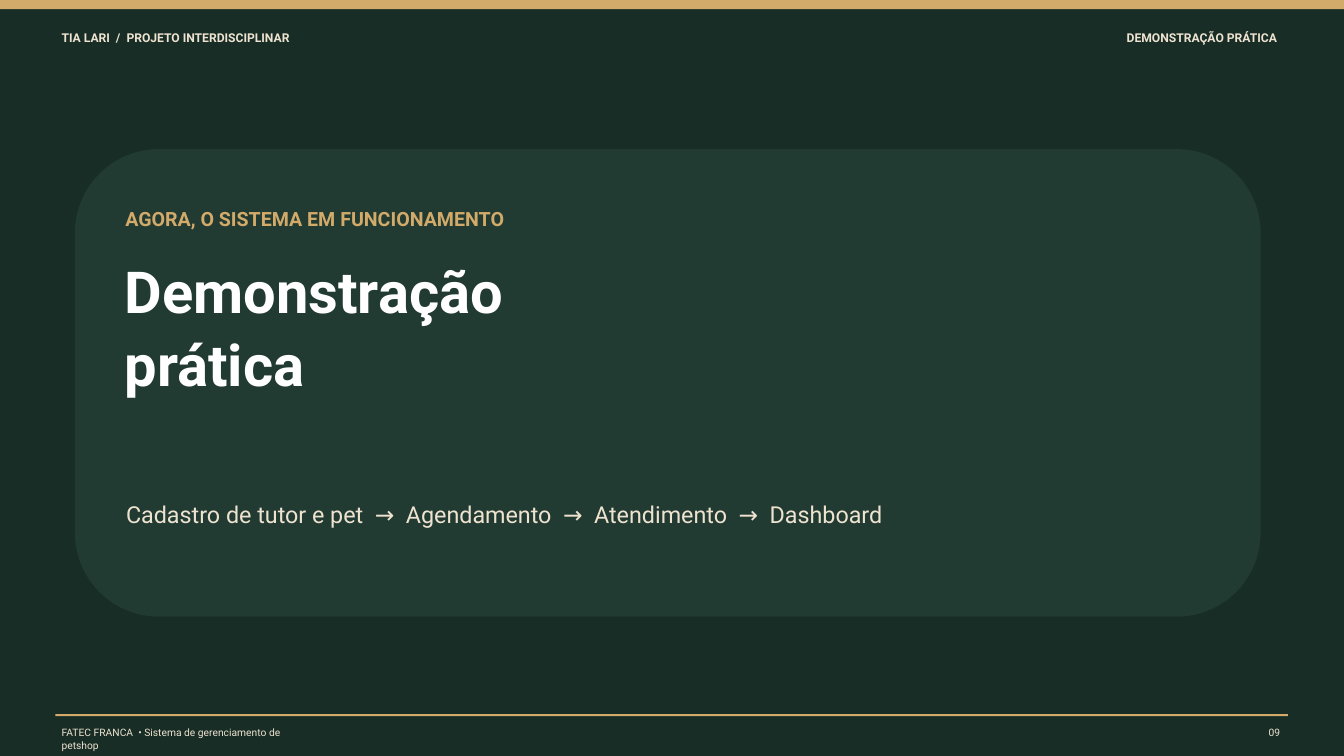
from dataclasses import dataclass

from pptx import Presentation
from pptx.dml.color import RGBColor
from pptx.enum.shapes import MSO_SHAPE
from pptx.enum.text import PP_ALIGN
from pptx.util import Pt

EMU_PER_PX = 9525
WIDTH, HEIGHT = 1920, 1080


@dataclass(frozen=True)
class Theme:
    font: str = "Roboto"
    night: str = "182D26"
    card: str = "213A32"
    gold: str = "D2AA69"
    cream: str = "EEE3D0"
    white: str = "FFFFFF"
    small: int = 11
    header: int = 13
    kicker: int = 21
    flow: int = 25
    title: int = 62
    leading: float = 1.26


THEME = Theme()
LEFT, RIGHT = PP_ALIGN.LEFT, PP_ALIGN.RIGHT
CARD_RADIUS = 120

STEPS = ["Cadastro de tutor e pet", "Agendamento", "Atendimento", "Dashboard"]

TOP_BAR = ((0, 0, WIDTH, 13), THEME.gold, 0)
FOOTER_RULE = ((79, 1020, 1761, 3), THEME.gold, 0)
DEMO_CARD = ((107, 213, 1694, 668), THEME.card, CARD_RADIUS)
PANELS = [TOP_BAR, FOOTER_RULE, DEMO_CARD]

TEXTS = [
    ((88, 42, 941, 25), ["TIA LARI  /  PROJETO INTERDISCIPLINAR"],
     THEME.header, THEME.cream, True, LEFT),
    ((1450, 42, 374, 25), ["DEMONSTRAÇÃO PRÁTICA"],
     THEME.header, THEME.cream, True, RIGHT),
    ((179, 294, 1565, 36), ["AGORA, O SISTEMA EM FUNCIONAMENTO"],
     THEME.kicker, THEME.gold, True, LEFT),
    ((178, 360, 1402, 210), ["Demonstração", "prática"],
     THEME.title, THEME.white, True, LEFT),
    ((180, 712, 1507, 92), ["  →  ".join(STEPS)],
     THEME.flow, THEME.cream, False, LEFT),
    ((88, 1037, 358, 38),
     ["FATEC FRANCA  • Sistema de gerenciamento de petshop"],
     THEME.small, THEME.cream, False, LEFT),
    ((1795, 1037, 34, 19), ["09"],
     THEME.small, THEME.cream, False, RIGHT),
]


def emu(*lengths):
    return [length * EMU_PER_PX for length in lengths]


def add_panel(page, area, color, radius):
    kind = MSO_SHAPE.ROUNDED_RECTANGLE if radius else MSO_SHAPE.RECTANGLE
    panel = page.shapes.add_shape(kind, *emu(*area))
    panel.shadow.inherit = False
    panel.fill.solid()
    panel.fill.fore_color.rgb = RGBColor.from_string(color)
    panel.line.fill.background()
    if radius:
        panel.adjustments[0] = radius / min(area[2:])


def add_text(page, area, lines, size, color, bold, align):
    box = page.shapes.add_textbox(*emu(*area))
    frame = box.text_frame
    frame.word_wrap = True
    frame.margin_left = frame.margin_right = 0
    frame.margin_top = frame.margin_bottom = 0
    for index, line in enumerate(lines):
        para = frame.add_paragraph() if index else frame.paragraphs[0]
        para.alignment = align
        para.line_spacing = Pt(round(size * THEME.leading, 1))
        span = para.add_run()
        span.text = line
        span.font.name = THEME.font
        span.font.size = Pt(size)
        span.font.bold = bold
        span.font.color.rgb = RGBColor.from_string(color)


def main():
    deck = Presentation()
    deck.slide_width, deck.slide_height = emu(WIDTH, HEIGHT)
    page = deck.slides.add_slide(deck.slide_layouts[6])
    page.background.fill.solid()
    page.background.fill.fore_color.rgb = RGBColor.from_string(THEME.night)
    for panel in PANELS:
        add_panel(page, *panel)
    for text in TEXTS:
        add_text(page, *text)
    deck.save("out.pptx")


if __name__ == "__main__":
    main()
